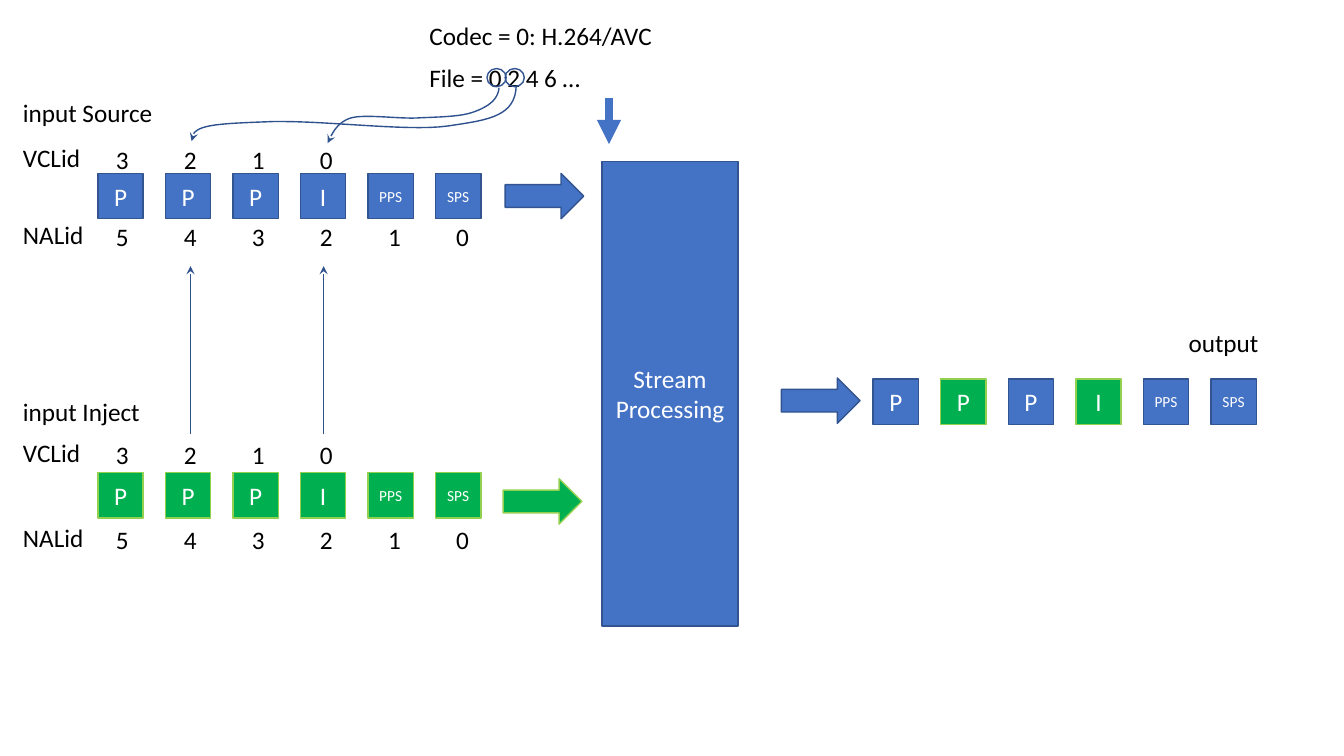
from dataclasses import dataclass

from lxml import etree
from pptx import Presentation
from pptx.dml.color import RGBColor
from pptx.enum.shapes import MSO_CONNECTOR, MSO_SHAPE
from pptx.enum.text import MSO_ANCHOR, PP_ALIGN
from pptx.oxml.ns import qn
from pptx.util import Inches, Pt

RECT, OVAL, ARROW = MSO_SHAPE.RECTANGLE, MSO_SHAPE.OVAL, MSO_SHAPE.RIGHT_ARROW
STRAIGHT = MSO_CONNECTOR.STRAIGHT
LEFT, CENTER = PP_ALIGN.LEFT, PP_ALIGN.CENTER
TOP, MIDDLE = MSO_ANCHOR.TOP, MSO_ANCHOR.MIDDLE


@dataclass(frozen=True)
class Theme:
    font: str = "Calibri"
    body: float = 18
    small: float = 11
    thin: float = 1
    thick: float = 5.75
    ink: str = "000000"
    white: str = "FFFFFF"
    curve: str = "2F528F"
    blue: tuple = ("4472C4", "325491")     # fill, outline
    green: tuple = ("00B050", "92D050")


THEME = Theme()

# Grid of the packet rows, in inches
CELL, PITCH = 0.45, 0.67
DIGIT, STEP, INSET = 0.22, 0.675, 0.08
LINE = 0.4
MARGIN = 0.13
FIRST = 0.97
PACKETS = ("P", "P", "P", "I", "PPS", "SPS")


def rgb(code):
    return RGBColor.from_string(code)


def put(item, values):
    for name, value in values.items():
        setattr(item, name, value)


def write(shape, text, size, color, align, anchor, wrap=True):
    frame = shape.text_frame
    put(frame, {"text": text, "word_wrap": wrap, "vertical_anchor": anchor})
    para = frame.paragraphs[0]
    para.alignment = align
    font = para.runs[0].font
    put(font, {"name": THEME.font, "size": Pt(size)})
    font.color.rgb = rgb(color)


def label(slide, text, box):
    shape = slide.shapes.add_textbox(*map(Inches, box))
    write(shape, text, THEME.body, THEME.ink, LEFT, TOP)


def block(slide, kind, box, paint, text="", size=THEME.body, wrap=True):
    """Outlined shape; no fill when the paint has none."""
    shape = slide.shapes.add_shape(kind, *map(Inches, box))
    shape.shadow.inherit = False
    fill, edge = paint
    if fill:
        shape.fill.solid()
        shape.fill.fore_color.rgb = rgb(fill)
    else:
        shape.fill.background()
    shape.line.color.rgb = rgb(edge)
    shape.line.width = Pt(THEME.thin)
    if text:
        write(shape, text, size, THEME.white, CENTER, MIDDLE, wrap)


def tip(shape, color, width, head):
    """Style a line, end it with an arrowhead and drop its shadow."""
    shape.line.color.rgb = rgb(color)
    shape.line.width = Pt(width)
    props = shape.element.spPr
    etree.SubElement(props.find(qn("a:ln")), qn("a:tailEnd"), type=head)
    etree.SubElement(props, qn("a:effectLst"))


def straight(slide, start, end, color, width, head):
    ends = map(Inches, start + end)
    tip(slide.shapes.add_connector(STRAIGHT, *ends), color, width, head)


def bezier(points, steps=16):
    """Sample a chain of cubic curves that share their end points."""
    trail = []
    for first in range(0, len(points) - 1, 3):
        a, b, c, d = points[first:first + 4]
        for step in range(1, steps + 1):
            t = step / steps
            u = 1 - t
            trail.append(tuple(
                Inches(u**3 * p + 3 * u * u * t * q + 3 * u * t * t * r + t**3 * s)
                for p, q, r, s in zip(a, b, c, d)))
    return trail


def curve(slide, points):
    path = slide.shapes.build_freeform(*map(Inches, points[0]))
    path.add_line_segments(bezier(points), close=False)
    shape = path.convert_to_shape()
    shape.fill.background()
    tip(shape, THEME.curve, THEME.thin, "stealth")


def packets(slide, left, top, paints):
    for col, (name, paint) in enumerate(zip(PACKETS, paints)):
        size = THEME.body if len(name) == 1 else THEME.small
        box = (left + col * PITCH, top, CELL, CELL)
        block(slide, RECT, box, paint, name, size, wrap=False)


def numbers(slide, top, count):
    """Count down from left to right, one number over each packet."""
    for col in range(count):
        box = (FIRST + INSET + col * STEP, top, DIGIT, LINE)
        label(slide, str(count - 1 - col), box)


def stream(slide, title, top, paint, rows, arrow):
    """Input stream: rows are offsets of title, VCL and NAL from the packets."""
    head, vcl, nal = (top + row for row in rows)
    label(slide, title, (MARGIN, head, 1.7, LINE))
    for name, row, count in (("VCLid", vcl, 4), ("NALid", nal, 6)):
        label(slide, name, (MARGIN, row, 6.66, LINE))
        numbers(slide, row + 0.02, count)
    packets(slide, FIRST, top, [paint] * len(PACKETS))
    block(slide, ARROW, arrow + (0.78, CELL), paint)


def process(slide, left, top):
    """Processing stage with the arrow that feeds it from above."""
    block(slide, RECT, (left, top, 1.35, 4.61), THEME.blue, "Stream Processing")
    x = left + 0.07
    straight(slide, (x, top - 0.63), (x, top - 0.17),
             THEME.blue[0], THEME.thick, "triangle")


def output(slide, left, top):
    blue, green = THEME.blue, THEME.green
    label(slide, "output", (left + 3.03, top - 0.56, 1.47, LINE))
    block(slide, ARROW, (left - 0.91, top - 0.01, 0.78, CELL), blue)
    packets(slide, left, top, (blue, green, blue, green, blue, blue))


def config(slide, left, top):
    """Settings text with the two chosen frames circled."""
    for row, text in enumerate(("Codec = 0: H.264/AVC", "File = 0 2 4 6 …")):
        label(slide, text, (left, top + row * 0.42, 3.25, LINE))
    for col in range(2):
        box = (left + 0.67 + col * 0.18, top + 0.53, 0.19, 0.18)
        block(slide, OVAL, box, (None, THEME.blue[1]))


def links(slide):
    """Chosen frames point at the source; injected frames replace them."""
    curve(slide, [(4.95, 0.87), (4.94, 0.99), (4.84, 1.06), (4.7, 1.11),
                  (4.57, 1.16), (4.34, 1.16), (4.14, 1.17),
                  (3.94, 1.18), (3.63, 1.13), (3.48, 1.17),
                  (3.33, 1.22), (3.29, 1.34), (3.25, 1.42)])
    curve(slide, [(5.12, 0.85), (5.11, 1.15), (4.86, 1.19), (4.44, 1.25),
                  (4.02, 1.31), (3.13, 1.18), (2.6, 1.21),
                  (2.06, 1.23), (1.9, 1.25), (1.9, 1.4)])
    for x in (1.89, 3.21):
        straight(slide, (x, 4.31), (x, 2.64), THEME.curve, THEME.thin, "stealth")


def main():
    deck = Presentation()
    put(deck, {"slide_width": Inches(13.33), "slide_height": Inches(7.5)})
    slide = deck.slides.add_slide(deck.slide_layouts[6])
    stream(slide, "input Source", 1.72, THEME.blue,
           (-0.8, -0.36, 0.41), (5.01, 1.72))
    stream(slide, "input Inject", 4.69, THEME.green,
           (-0.81, -0.4, 0.44), (4.99, 4.75))
    process(slide, 5.97, 1.6)
    output(slide, 8.66, 3.76)
    config(slide, 4.16, 0.15)
    links(slide)
    deck.save("out.pptx")


if __name__ == "__main__":
    main()
